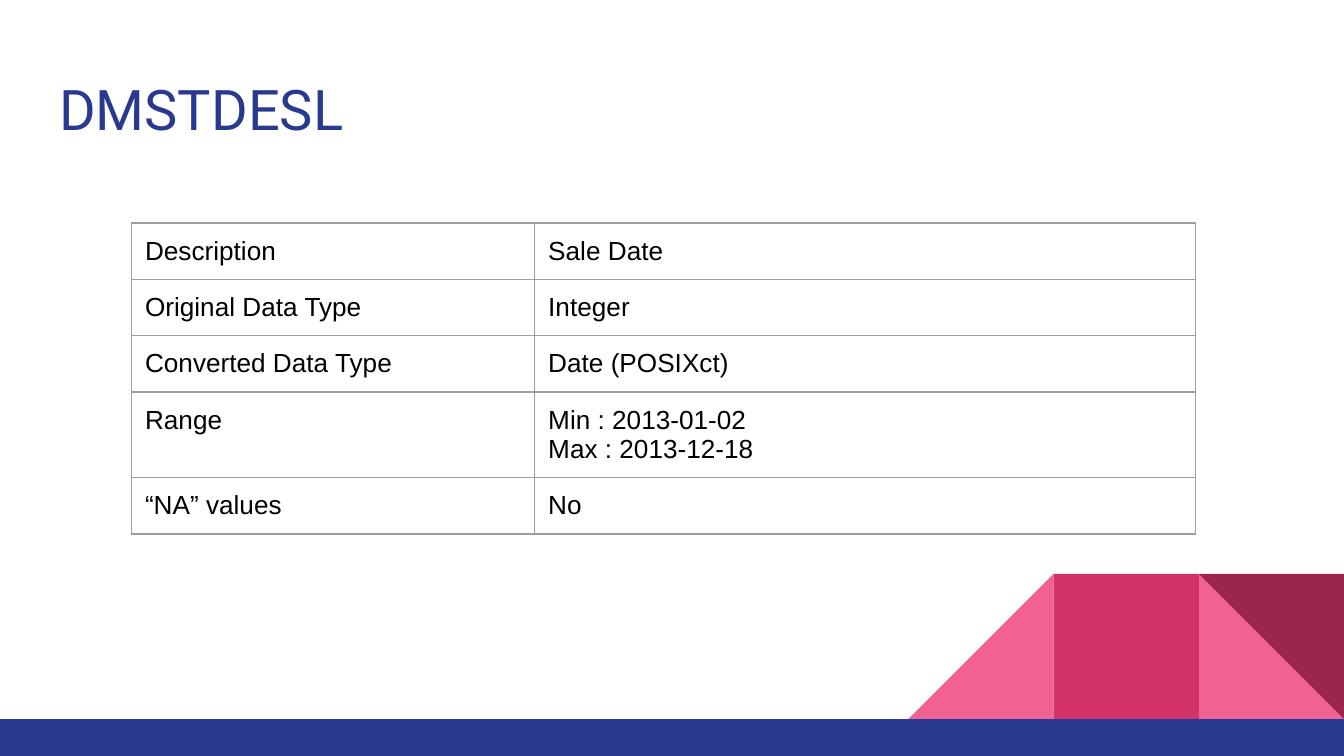
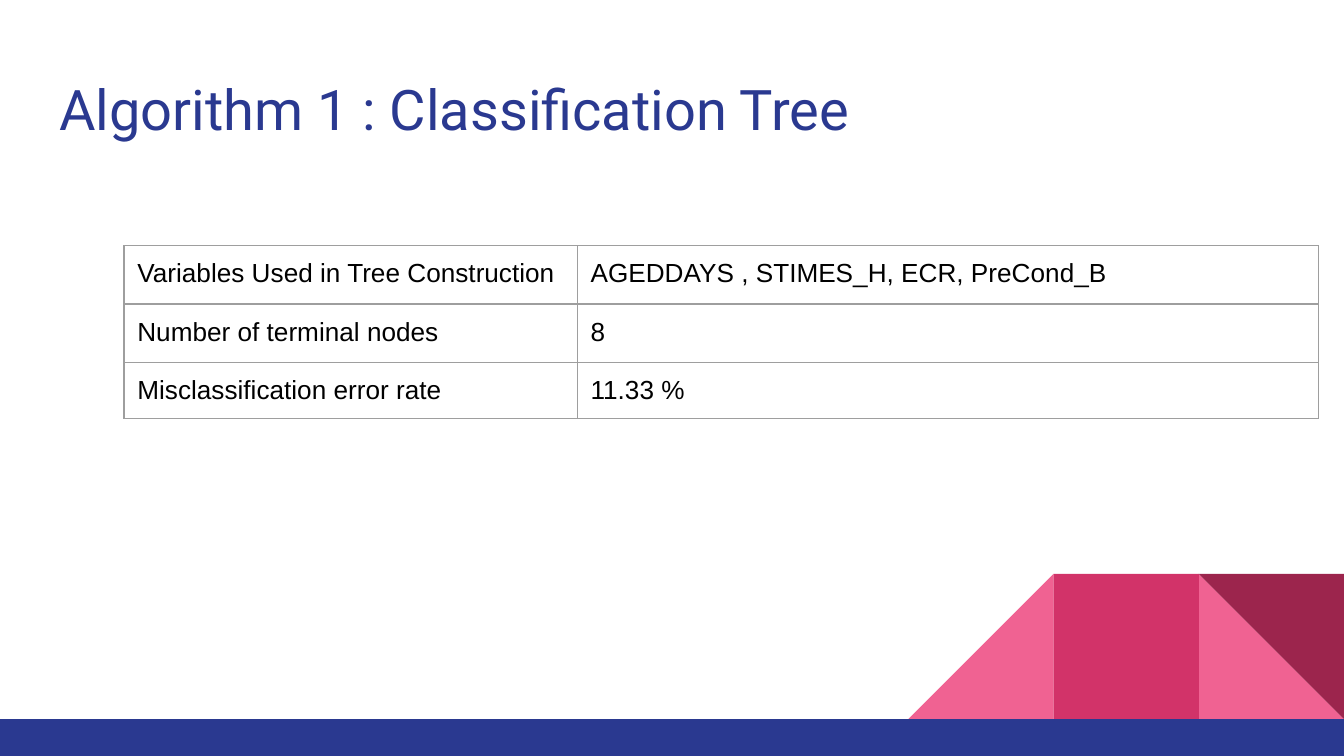
import pptx
import pptx.util
import pptx.dml.color
import pptx.enum.shapes
import pptx.enum.text
import pptx.oxml.ns
from lxml import etree

Pt = pptx.util.Pt
SHAPE = pptx.enum.shapes.MSO_SHAPE

WIDTH, HEIGHT = 720, 405
NAVY, PINK, ROSE, WINE = "2A3990", "F06292", "D23369", "9C254D"
BLACK, GREY = "000000", "9E9E9E"
INSET = 7.2
BAND = 19.8
TILE = 77.8

TITLE_BOX = (24.5, 32.6, 671, 47.6)


def rgb(color):
    return pptx.dml.color.RGBColor.from_string(color)


def set_insets(tf):
    """Give a text frame or a table cell the shared margins."""
    tf.margin_left = tf.margin_right = Pt(INSET)
    tf.margin_top = tf.margin_bottom = Pt(INSET)


def format_text(tf, font, size, color):
    for p in tf.paragraphs:
        p.alignment = pptx.enum.text.PP_ALIGN.LEFT
        for r in p.runs:
            r.font.name = font
            r.font.size = Pt(size)
            r.font.color.rgb = rgb(color)


def add_block(s, kind, box, color, rotation=0):
    sp = s.shapes.add_shape(kind, *map(Pt, box))
    sp.rotation = rotation
    sp.shadow.inherit = False
    sp.fill.solid()
    sp.fill.fore_color.rgb = rgb(color)
    sp.line.fill.background()


def add_footer(s, left, top, width, height):
    """Draw the bottom band and the row of tiles standing on its right end."""
    tiles = [
        (2, SHAPE.RIGHT_TRIANGLE, PINK, 0),
        (0, SHAPE.RIGHT_TRIANGLE, PINK, 270),
        (1, SHAPE.RECTANGLE, ROSE, 0),
        (2, SHAPE.RIGHT_TRIANGLE, WINE, 180),
    ]
    first = left + width - 3 * TILE
    for column, kind, color, rotation in tiles:
        box = (first + column * TILE, top - TILE, TILE, TILE)
        add_block(s, kind, box, color, rotation)
    add_block(s, SHAPE.RECTANGLE, (left, top, width, height), NAVY)


def add_title(s, text, left, top, width, height):
    sp = s.shapes.title
    sp.left, sp.top, sp.width, sp.height = map(Pt, (left, top, width, height))
    tf = sp.text_frame
    tf.text = text
    tf.word_wrap = True
    tf.auto_size = pptx.enum.text.MSO_AUTO_SIZE.NONE
    tf.vertical_anchor = pptx.enum.text.MSO_ANCHOR.TOP
    set_insets(tf)
    format_text(tf, "Roboto", 30, NAVY)


def set_borders(cell, color, width):
    tc_pr = cell._tc.get_or_add_tcPr()
    qn = pptx.oxml.ns.qn
    for side in ("a:lnL", "a:lnR", "a:lnT", "a:lnB"):
        line = etree.SubElement(tc_pr, qn(side), w=str(int(Pt(width))))
        fill = etree.SubElement(line, qn("a:solidFill"))
        etree.SubElement(fill, qn("a:srgbClr"), val=color)


def add_facts(s, rows, left, top, col_widths, row_heights):
    """Place a plain bordered table of label and value pairs."""
    frame = s.shapes.add_table(len(rows), len(col_widths), Pt(left), Pt(top),
                               Pt(sum(col_widths)), Pt(sum(row_heights)))
    table = frame.table
    table.first_row = table.horz_banding = False
    for column, width in zip(table.columns, col_widths):
        column.width = Pt(width)
    for row, height, texts in zip(table.rows, row_heights, rows):
        row.height = Pt(height)
        for cell, text in zip(row.cells, texts):
            cell.text_frame.text = text
            set_insets(cell)
            format_text(cell.text_frame, "Arial", 14, BLACK)
            set_borders(cell, GREY, 0.75)
            cell.fill.background()


def add_facts_slide(prs, title, rows, left, top, col_widths, row_heights):
    s = prs.slides.add_slide(prs.slide_layouts[5])
    add_footer(s, 0, HEIGHT - BAND, WIDTH, BAND)
    add_title(s, title, *TITLE_BOX)
    add_facts(s, rows, left, top, col_widths, row_heights)


def main():
    prs = pptx.Presentation()
    prs.slide_width, prs.slide_height = Pt(WIDTH), Pt(HEIGHT)
    add_facts_slide(
        prs, "DMSTDESL",
        [("Description", "Sale Date"),
         ("Original Data Type", "Integer"),
         ("Converted Data Type", "Date (POSIXct)"),
         ("Range", "Min : 2013-01-02\nMax : 2013-12-18"),
         ("“NA” values", "No")],
        70.5, 119.5, (216, 353.8), [30] * 5)
    add_facts_slide(
        prs, "Algorithm 1 : Classification Tree",
        [("Variables Used in Tree Construction",
          "AGEDDAYS , STIMES_H, ECR, PreCond_B"),
         ("Number of terminal nodes", "8"),
         ("Misclassification error rate", "11.33 %")],
        66.4, 131.6, (242.8, 397.2), (31.3, 31.3, 30))
    prs.save("out.pptx")


if __name__ == "__main__":
    main()
